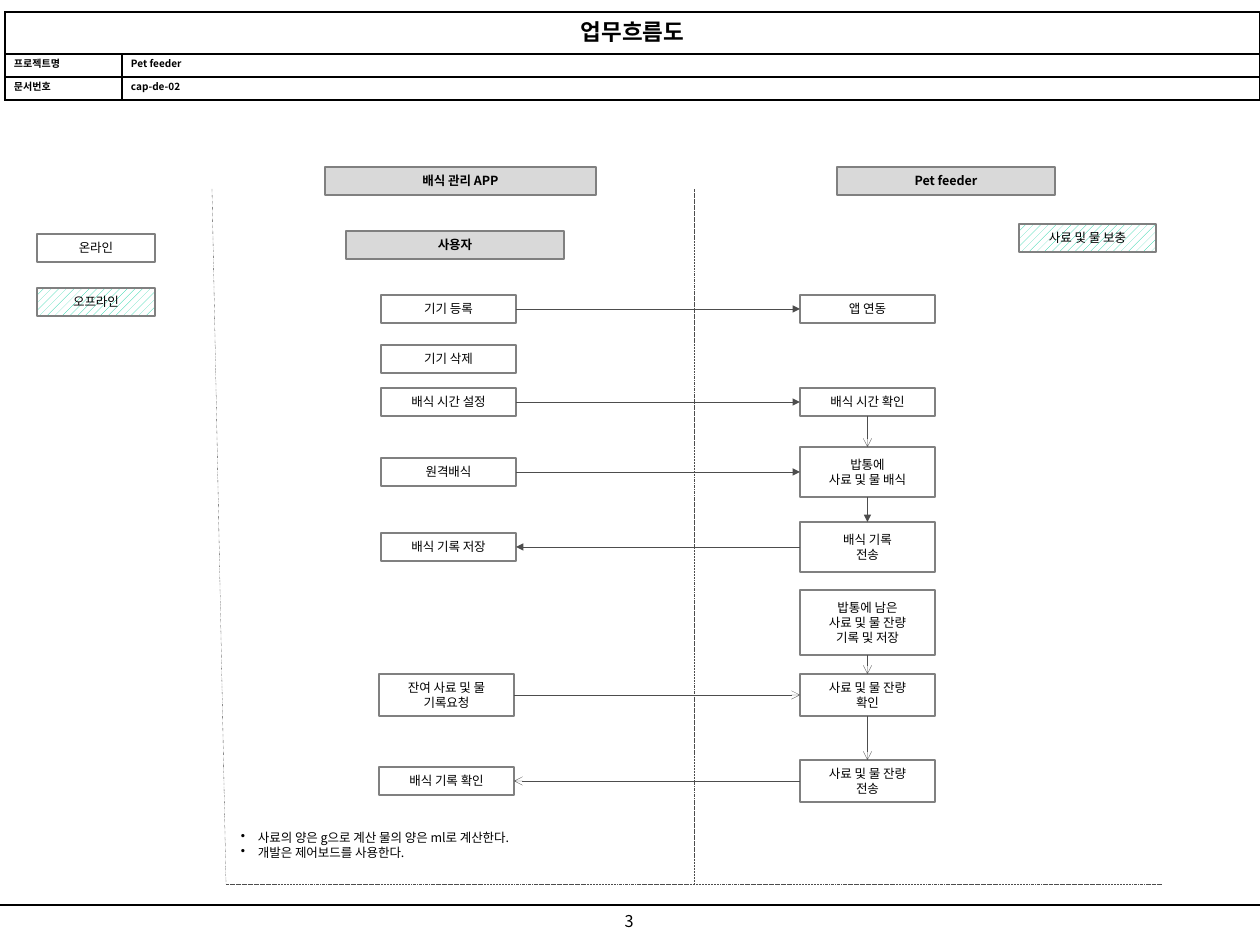
from lxml.etree import SubElement
from pptx import Presentation
from pptx.dml.color import RGBColor
from pptx.enum.dml import MSO_LINE, MSO_PATTERN
from pptx.enum.shapes import MSO_CONNECTOR, MSO_SHAPE
from pptx.enum.text import MSO_ANCHOR, PP_ALIGN
from pptx.oxml import parse_xml
from pptx.oxml.ns import nsdecls, qn
from pptx.util import Pt

PX = 10160
FONT = "Noto Sans CJK KR"
COLORS = {
    "ink": "000000",
    "paper": "FFFFFF",
    "header": "D9D9D9",
    "outline": "808080",
    "flow": "4D4D4D",
    "offline": "00CC99",
}
TOP, LEFT, BOTTOM, RIGHT = range(4)


def px(*lengths):
    return [length * PX for length in lengths]


def color(name):
    return RGBColor.from_string(COLORS[name])


def set_text(frame, text, size=10, bold=False, align=PP_ALIGN.CENTER, bullet=None):
    for index, line in enumerate(text.split("\n")):
        paragraph = frame.paragraphs[0] if index == 0 else frame.add_paragraph()
        paragraph.alignment = align
        run = paragraph.add_run()
        run.text = line
        run.font.size = Pt(size)
        run.font.bold = bold
        run.font.name = FONT
        run.font.color.rgb = color("ink")
        SubElement(run.font._element, qn("a:ea")).set("typeface", FONT)
        if bullet:
            properties = paragraph._p.get_or_add_pPr()
            properties.set("marL", str(17 * PX))
            properties.set("indent", str(-17 * PX))
            SubElement(properties, qn("a:buChar")).set("char", bullet)


def add_box(slide, text, x, y, width, height=28, fill="paper", line="outline", **style):
    box = slide.shapes.add_shape(MSO_SHAPE.RECTANGLE, *px(x, y, width, height))
    box.shadow.inherit = False
    if fill == "offline":
        box.fill.patterned()
        box.fill.pattern = MSO_PATTERN.PERCENT_20
        box.fill.fore_color.rgb = color("offline")
        box.fill.back_color.rgb = color("paper")
    else:
        box.fill.solid()
        box.fill.fore_color.rgb = color(fill)
    box.line.color.rgb = color(line)
    box.line.width = Pt(1)
    box.text_frame.word_wrap = False
    box.text_frame.vertical_anchor = MSO_ANCHOR.MIDDLE
    set_text(box.text_frame, text, **style)
    return box


def add_line(slide, x1=0, y1=0, x2=0, y2=0, stroke="flow", width=0.25, dash=None):
    line = slide.shapes.add_connector(MSO_CONNECTOR.STRAIGHT, *px(x1, y1, x2, y2))
    line.line.color.rgb = color(stroke)
    line.line.width = Pt(width)
    if dash:
        line.line.dash_style = dash
    SubElement(line._element.spPr, qn("a:effectLst"))
    return line


def add_flow(slide, source, source_side, target, target_side, head):
    flow = add_line(slide)
    flow.begin_connect(source, source_side)
    flow.end_connect(target, target_side)
    SubElement(flow.line._get_or_add_ln(), qn("a:tailEnd")).set("type", head)


def set_cell(cell, text, **style):
    cell.fill.solid()
    cell.fill.fore_color.rgb = color("paper")
    cell.margin_left = cell.margin_right = 9 * PX
    cell.margin_top = cell.margin_bottom = 2 * PX
    properties = cell._tc.get_or_add_tcPr()
    for index, side in enumerate("LRTB"):
        properties.insert(index, parse_xml(
            f'<a:ln{side} {nsdecls("a")} w="12700"><a:solidFill>'
            f'<a:srgbClr val="{COLORS["ink"]}"/></a:solidFill></a:ln{side}>'))
    if text:
        set_text(cell.text_frame, text, bold=True, **style)


def add_document_table(slide):
    table = slide.shapes.add_table(3, 2, *px(5, 12, 1255, 88)).table
    for column, width in zip(table.columns, (117, 1138)):
        column.width = width * PX
    for row, height in zip(table.rows, (42, 23, 23)):
        row.height = height * PX
    table.cell(0, 0).merge(table.cell(0, 1))
    set_cell(table.cell(0, 0), "업무흐름도", size=18)
    set_cell(table.cell(0, 1), "")
    details = [("프로젝트명", "Pet feeder"), ("문서번호", "cap-de-02")]
    for row, pair in enumerate(details, 1):
        for column, text in enumerate(pair):
            set_cell(table.cell(row, column), text, size=8, align=PP_ALIGN.LEFT)


def add_footer(slide):
    add_line(slide, 0, 905, 1260, 905, stroke="ink", width=1)
    page = slide.shapes.add_textbox(*px(605, 905, 48, 32)).text_frame
    page.word_wrap = False
    page.margin_left = page.margin_right = 12 * PX
    page.margin_top = page.margin_bottom = 6 * PX
    set_text(page, "3", size=13)


def add_lanes(slide):
    for ends in ((212, 189, 226, 884), (694, 189, 694, 884), (226, 884, 1162, 884)):
        add_line(slide, *ends, dash=MSO_LINE.DASH_DOT_DOT)
    add_box(slide, "배식 관리 APP", 325, 167, 271, fill="header", bold=True)
    add_box(slide, "사용자", 346, 231, 218, fill="header", bold=True)
    add_box(slide, "Pet feeder", 837, 167, 218, fill="header", bold=True)
    add_box(slide, "온라인", 37, 234, 118)
    add_box(slide, "오프라인", 37, 288, 118, fill="offline")
    add_box(slide, "사료 및 물 보충", 1019, 224, 137, fill="offline")


def add_workflow(slide):
    app_steps = [
        ("기기 등록", 381, 295, 28),
        ("기기 삭제", 381, 345, 28),
        ("배식 시간 설정", 381, 388, 28),
        ("원격배식", 381, 458, 28),
        ("배식 기록 저장", 381, 533, 28),
        ("잔여 사료 및 물\n기록요청", 379, 674, 42),
        ("배식 기록 확인", 379, 767, 28),
    ]
    feeder_steps = [
        ("앱 연동", 295, 28),
        ("배식 시간 확인", 388, 28),
        ("밥통에\n사료 및 물 배식", 447, 50),
        ("배식 기록\n전송", 522, 50),
        ("밥통에 남은\n사료 및 물 잔량\n기록 및 저장", 590, 65),
        ("사료 및 물 잔량\n확인", 674, 42),
        ("사료 및 물 잔량\n전송", 760, 42),
    ]
    register, _, set_time, remote, save, request, review = [
        add_box(slide, text, x, y, 135, height) for text, x, y, height in app_steps]
    link, check_time, feed, send_record, remaining, check_left, send_left = [
        add_box(slide, text, 800, y, 135, height) for text, y, height in feeder_steps]

    for source, target, head in (
            (register, link, "triangle"), (set_time, check_time, "triangle"),
            (remote, feed, "triangle"), (request, check_left, "arrow")):
        add_flow(slide, source, RIGHT, target, LEFT, head)
    for source, target, head in (
            (send_record, save, "triangle"), (send_left, review, "arrow")):
        add_flow(slide, source, LEFT, target, RIGHT, head)
    for source, target, head in (
            (check_time, feed, "arrow"), (feed, send_record, "triangle"),
            (remaining, check_left, "arrow"), (check_left, send_left, "arrow")):
        add_flow(slide, source, BOTTOM, target, TOP, head)


def main():
    deck = Presentation()
    deck.slide_width, deck.slide_height = px(1260, 945)
    slide = deck.slides.add_slide(deck.slide_layouts[6])
    add_footer(slide)
    add_lanes(slide)
    add_document_table(slide)
    add_workflow(slide)
    add_box(slide, "사료의 양은 g으로 계산 물의 양은 ml로 계산한다.\n개발은 제어보드를 사용한다.",
            232, 810, 397, 71, line="paper", align=PP_ALIGN.LEFT, bullet="•")
    deck.save("out.pptx")


if __name__ == "__main__":
    main()
